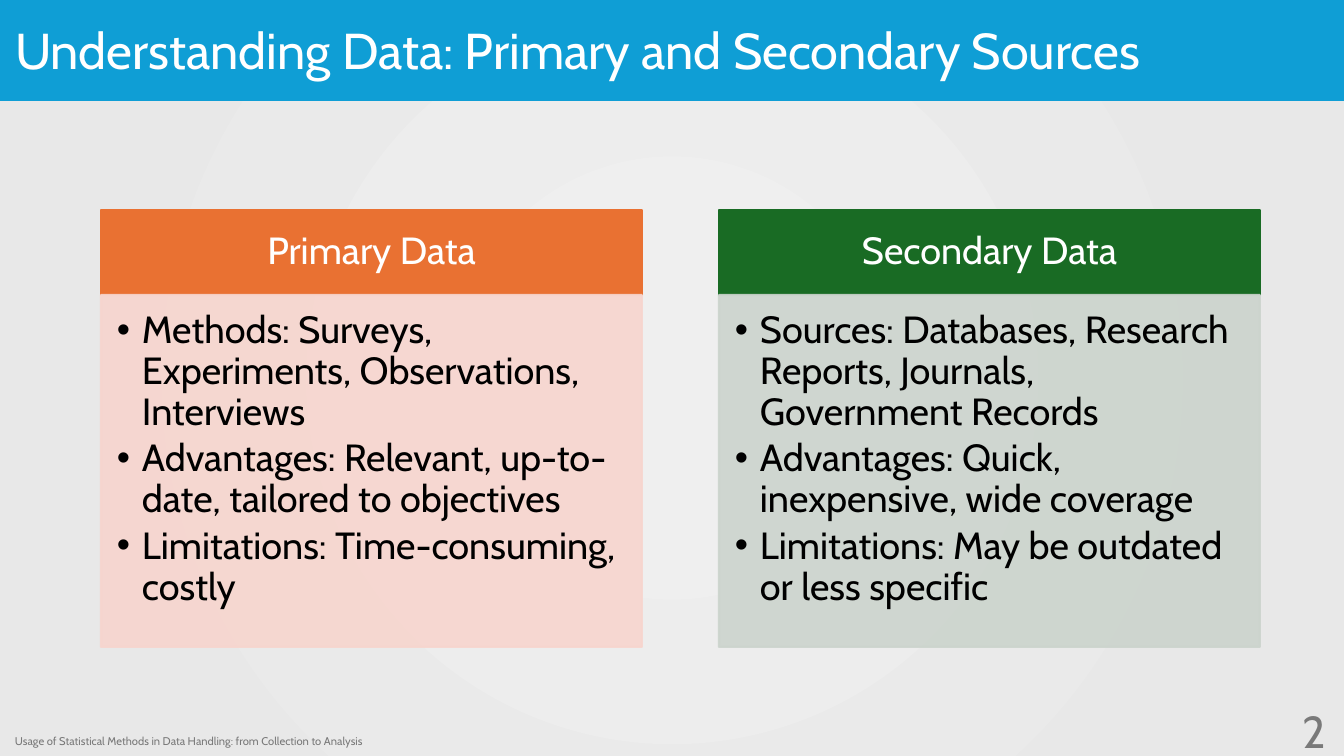
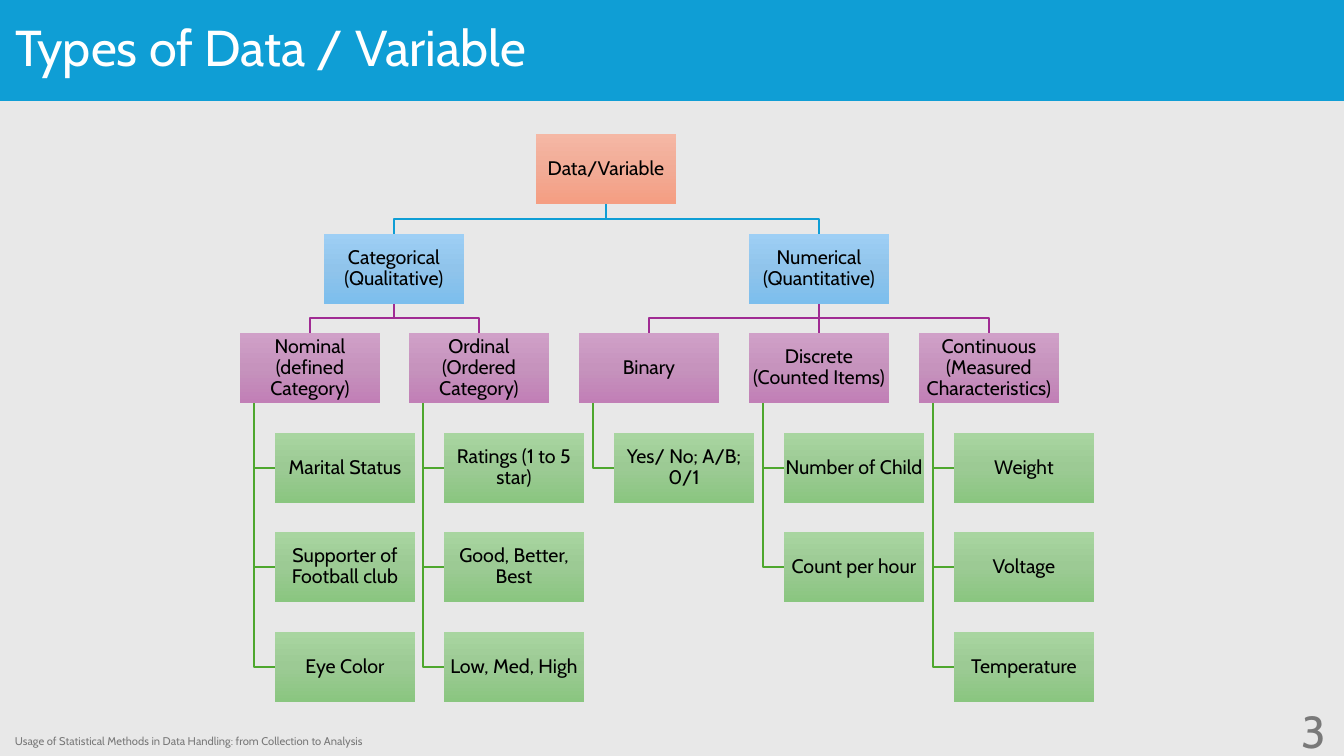
from dataclasses import dataclass, field
from typing import NamedTuple

from pptx import Presentation, util as u
from pptx.dml.color import RGBColor
from pptx.enum import shapes, text
from pptx.oxml import ns, parse_xml

EMU_PER_PX = 914400 / 100.8
SLIDE_W, SLIDE_H = 1344, 756
FONT = "Cabin"
FOOTER = "Usage of Statistical Methods in Data Handling: from Collection to Analysis"

COLORS = {
    "band": "0F9ED5", "page": "E8E8E8", "page_center": "EFEFEF",
    "white": "FFFFFF", "black": "000000", "footer": "797979",
    "primary": "E97132", "primary_tint": "F7D5CE",
    "secondary": "196B24", "secondary_tint": "CCD4CD",
    "branch": "0F9ED5", "subtype": "A02B93", "example": "4EA72E",
}
GRADIENTS = {
    "root": ("F5B8A5", "F2AB96", "F59E82"),
    "branch": ("9ECFF5", "90C4EB", "7CBEED"),
    "subtype": ("D0A0C8", "C693BD", "C17FB6"),
    "example": ("A8D5A0", "9CCA94", "8AC680"),
}
LEVELS = ("root", "branch", "subtype", "example")


class Box(NamedTuple):
    left: int
    top: int
    width: int
    height: int


class Insets(NamedTuple):
    left: int = 10
    top: int = 5
    right: int = 10
    bottom: int = 5


@dataclass
class TextStyle:
    size: int
    color: str
    align: text.PP_ALIGN = text.PP_ALIGN.LEFT
    anchor: text.MSO_ANCHOR = text.MSO_ANCHOR.MIDDLE
    insets: Insets = Insets()
    line_spacing: float = 0.9
    space_after: int = 0
    bulleted: bool = False


@dataclass
class Card:
    heading: str
    points: list[str]
    color: str
    left: int


@dataclass
class Node:
    label: str
    children: list["Node"] = field(default_factory=list)
    left: int = 0
    top: int = 0

    @property
    def center(self) -> int:
        return self.left + NODE_W // 2

    @property
    def bottom(self) -> int:
        return self.top + NODE_H


TITLE = TextStyle(36, "white")
FOOTNOTE = TextStyle(8, "footer", line_spacing=1.0)
NUMBER = TextStyle(32, "footer", text.PP_ALIGN.RIGHT, line_spacing=1.0)
HEADING = TextStyle(27, "white", text.PP_ALIGN.CENTER, insets=Insets(21, 12, 21, 12))
POINTS = TextStyle(27, "black", anchor=text.MSO_ANCHOR.TOP, insets=Insets(16, 16, 21, 24),
                   space_after=4, bulleted=True)
NODE_LABEL = TextStyle(14, "black", text.PP_ALIGN.CENTER, insets=Insets(1, 1, 1, 1))

CARDS = [
    Card("Primary Data", [
        "Methods: Surveys, Experiments, Observations, Interviews",
        "Advantages: Relevant, up-to-date, tailored to objectives",
        "Limitations: Time-consuming, costly",
    ], "primary", 101),
    Card("Secondary Data", [
        "Sources: Databases, Research Reports, Journals, Government Records",
        "Advantages: Quick, inexpensive, wide coverage",
        "Limitations: May be outdated or less specific",
    ], "secondary", 719),
]
CARD_TOP, CARD_W, HEADING_H, POINTS_H = 210, 541, 85, 352

NODE_W, NODE_H = 140, 70
TREE_LEFT, TREE_TOP = 240, 134
COLUMN_SPAN, COLUMN_GAPS = 679, 4
ROW_SPAN, ROW_GAPS = 498, 5
EXAMPLE_INDENT, TRUNK_INDENT = 35, 14


def subtype(label: str, *examples: str) -> Node:
    return Node(label, [Node(example) for example in examples])


DATA_TREE = Node("Data/Variable", [
    Node("Categorical (Qualitative)", [
        subtype("Nominal (defined Category)",
                "Marital Status", "Supporter of Football club", "Eye Color"),
        subtype("Ordinal (Ordered Category)",
                "Ratings (1 to 5 star)", "Good, Better, Best", "Low, Med, High"),
    ]),
    Node("Numerical (Quantitative)", [
        subtype("Binary", "Yes/ No; A/B; 0/1"),
        subtype("Discrete (Counted Items)", "Number of Child", "Count per hour"),
        subtype("Continuous (Measured Characteristics)",
                "Weight", "Voltage", "Temperature"),
    ]),
])


def px(length: float) -> int:
    return round(length * EMU_PER_PX)


def rgb(name: str) -> RGBColor:
    return RGBColor.from_string(COLORS[name])


def write(frame, paragraphs: list[str], style: TextStyle) -> None:
    frame.word_wrap = True
    frame.vertical_anchor = style.anchor
    for side, inset in style.insets._asdict().items():
        setattr(frame, f"margin_{side}", px(inset))
    spacing = {"alignment": style.align, "line_spacing": style.line_spacing,
               "space_before": u.Pt(0), "space_after": u.Pt(style.space_after)}
    lettering = {"name": FONT, "size": u.Pt(style.size)}
    for index, words in enumerate(paragraphs):
        paragraph = frame.add_paragraph() if index else frame.paragraphs[0]
        run = paragraph.add_run()
        run.text = words
        for target, values in ((paragraph, spacing), (run.font, lettering)):
            for name, value in values.items():
                setattr(target, name, value)
        run.font.color.rgb = rgb(style.color)
        if style.bulleted:
            add_bullet(paragraph)


def add_bullet(paragraph) -> None:
    properties = paragraph._p.get_or_add_pPr()
    properties.set("marL", str(px(25)))
    properties.set("indent", str(-px(25)))
    for tag in ('buFont typeface="Arial"', 'buChar char="•"'):
        properties.append(parse_xml(f"<a:{tag} {ns.nsdecls('a')}/>"))


def set_gradient(owner, fill, stops: list[tuple[int, str]], direction: str) -> None:
    """Fill with (percent, hex) stops; direction is the XML of a:lin or a:path."""
    fill.gradient()
    old = owner.find(f".//{ns.qn('a:gradFill')}")
    marks = "".join(f'<a:gs pos="{percent * 1000}"><a:srgbClr val="{color}"/></a:gs>'
                    for percent, color in stops)
    old.getparent().replace(old, parse_xml(
        f'<a:gradFill {ns.nsdecls("a")} rotWithShape="1">'
        f"<a:gsLst>{marks}</a:gsLst>{direction}</a:gradFill>"))


def add_rect(slide, box: Box):
    rect = slide.shapes.add_shape(shapes.MSO_SHAPE.RECTANGLE, *map(px, box))
    rect.shadow.inherit = False
    rect.line.fill.background()
    return rect


def add_filled(slide, box: Box, color: str, opacity: int = 100, outlined: bool = False):
    rect = add_rect(slide, box)
    rect.fill.solid()
    rect.fill.fore_color.rgb = rgb(color)
    if outlined:
        rect.line.color.rgb = rgb(color)
        rect.line.width = u.Pt(1.5)
    if opacity < 100:
        for tint in rect._element.spPr.iter(ns.qn("a:srgbClr")):
            tint.append(parse_xml(f'<a:alpha {ns.nsdecls("a")} val="{opacity * 1000}"/>'))
    return rect


def add_label(slide, box: Box, words: str, style: TextStyle) -> None:
    write(slide.shapes.add_textbox(*map(px, box)).text_frame, [words], style)


def add_page(deck, title: str, title_box: Box, number: int):
    """Add a slide with the shared band, title, footer and number."""
    slide = deck.slides.add_slide(deck.slide_layouts[6])
    slide.background.fill.solid()
    slide.background.fill.fore_color.rgb = rgb("page")
    add_filled(slide, Box(0, 0, SLIDE_W, 101), "band")
    add_label(slide, title_box, title, TITLE)
    add_label(slide, Box(5, 729, 806, 25), FOOTER, FOOTNOTE)
    add_label(slide, Box(1034, 711, 302, 40), str(number), NUMBER)
    return slide


def add_card(slide, card: Card) -> None:
    heading = add_filled(slide, Box(card.left, CARD_TOP, CARD_W, HEADING_H),
                         card.color, outlined=True)
    write(heading.text_frame, [card.heading], HEADING)
    points = add_filled(slide, Box(card.left, CARD_TOP + HEADING_H, CARD_W, POINTS_H),
                        f"{card.color}_tint", opacity=90, outlined=True)
    write(points.text_frame, card.points, POINTS)


def place_tree(root: Node) -> None:
    """Set subtypes in equal columns, parents centred above, examples stacked below."""
    column = 0
    root.top = row_top(0)
    for branch in root.children:
        branch.top = row_top(1)
        for kind in branch.children:
            kind.left = TREE_LEFT + COLUMN_SPAN * column // COLUMN_GAPS
            kind.top = row_top(2)
            column += 1
            for row, example in enumerate(kind.children, start=3):
                example.left = kind.left + EXAMPLE_INDENT
                example.top = row_top(row)
        center_above(branch)
    center_above(root)


def row_top(row: int) -> int:
    return TREE_TOP + round(ROW_SPAN * row / ROW_GAPS)


def center_above(parent: Node) -> None:
    parent.left = (parent.children[0].left + parent.children[-1].left) // 2


def link_points(parent: Node, child: Node, level: str) -> list[tuple[int, int]]:
    if level == "example":
        trunk, middle = parent.left + TRUNK_INDENT, child.top + NODE_H // 2
        return [(trunk, parent.bottom), (trunk, middle), (child.left, middle)]
    start, end = (parent.center, parent.bottom), (child.center, child.top)
    if parent.center == child.center:
        return [start, end]
    bar = (parent.bottom + child.top) // 2
    return [start, (parent.center, bar), (child.center, bar), end]


def add_link(slide, points: list[tuple[int, int]], color: str) -> None:
    start, *rest = [(px(x), px(y)) for x, y in points]
    if len(rest) == 1:
        link = slide.shapes.add_connector(shapes.MSO_CONNECTOR.STRAIGHT, *start, *rest[0])
        link._element.spPr.append(parse_xml(f"<a:effectLst {ns.nsdecls('a')}/>"))
    else:
        outline = slide.shapes.build_freeform(*start)
        outline.add_line_segments(rest, close=False)
        link = outline.convert_to_shape()
        link.fill.background()
        link.shadow.inherit = False
    link.line.color.rgb = rgb(color)
    link.line.width = u.Pt(1.5)


def add_tree(slide, node: Node, depth: int = 0) -> None:
    for child in node.children:
        level = LEVELS[depth + 1]
        add_link(slide, link_points(node, child, level), level)
        add_tree(slide, child, depth + 1)
    rect = add_rect(slide, Box(node.left, node.top, NODE_W, NODE_H))
    stops = list(zip((0, 50, 100), GRADIENTS[LEVELS[depth]]))
    set_gradient(rect._element, rect.fill, stops, '<a:lin ang="5400000" scaled="0"/>')
    write(rect.text_frame, [node.label], NODE_LABEL)


def main() -> None:
    deck = Presentation()
    deck.slide_width, deck.slide_height = px(SLIDE_W), px(SLIDE_H)

    sources = add_page(deck, "Understanding Data: Primary and Secondary Sources",
                       Box(5, 9, 1159, 88), 2)
    set_gradient(sources.element, sources.background.fill,
                 [(10, COLORS["page_center"]), (85, COLORS["page"])],
                 '<a:path path="circle"><a:fillToRect l="50000" t="50000" '
                 'r="50000" b="50000"/></a:path>')
    for card in CARDS:
        add_card(sources, card)

    types_of_data = add_page(deck, "Types of Data / Variable", Box(5, 14, 1109, 72), 3)
    place_tree(DATA_TREE)
    add_tree(types_of_data, DATA_TREE)

    deck.save("out.pptx")


if __name__ == "__main__":
    main()
